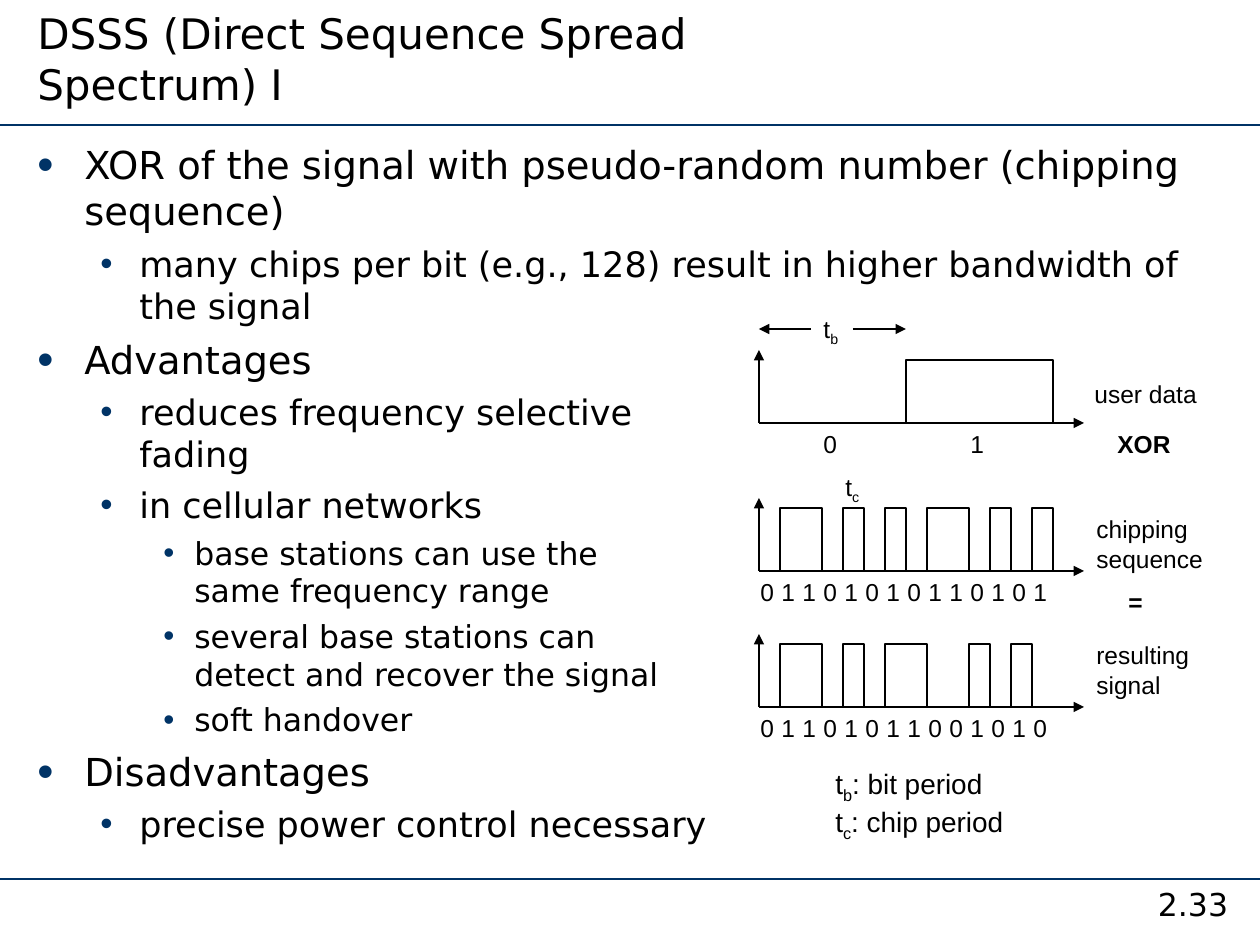
from itertools import groupby

from lxml import etree
from pptx import Presentation
from pptx import util as u
from pptx.dml.color import RGBColor
from pptx.enum import shapes, text
from pptx.oxml import ns

BLACK = RGBColor(0x00, 0x00, 0x00)
NAVY = RGBColor(0x00, 0x33, 0x66)
SANS = "DejaVu Sans"
ARIAL = "Arial"
AXIS_X = 759
BIT = 147
CHIP = 21
PULSE_HEIGHT = 63

LEVELS = [
    {"size": 22, "margin": 47, "hang": 47, "before": 5.5, "bullet": 120},
    {"size": 20, "margin": 102, "hang": 39, "before": 5, "bullet": 100},
    {"size": 18, "margin": 157, "hang": 31, "before": 4.5, "bullet": 100},
]

BULLETS = [
    (0, "XOR of the signal with pseudo-random number (chipping sequence)"),
    (1, "many chips per bit (e.g., 128) result in higher bandwidth of the signal"),
    (0, "Advantages"),
    (1, "reduces frequency selective \nfading"),
    (1, "in cellular networks"),
    (2, "base stations can use the \nsame frequency range"),
    (2, "several base stations can \ndetect and recover the signal"),
    (2, "soft handover"),
    (0, "Disadvantages"),
    (1, "precise power control necessary"),
]

PLOTS = [(423, "01", BIT), (571, "01101010110101", CHIP), (707, "01101011001010", CHIP)]

LABELS = [
    ((1082, 373, 133, 43), [["user data"]], 14, False),
    ((1084, 508, 137, 72), [["chipping"], ["sequence"]], 14, False),
    ((1084, 634, 123, 72), [["resulting"], ["signal"]], 14, False),
    ((1105, 423, 84, 43), [["XOR"]], 14, True),
    ((1116, 581, 42, 43), [["="]], 14, True),
    ((811, 308, 46, 47), [["t", "b"]], 14, False),
    ((833, 466, 46, 47), [["t", "c"]], 14, False),
    ((823, 760, 199, 89), [["t", "b", ": bit period"], ["t", "c", ": chip period"]], 16, False),
]


def px(value):
    """Turn pixels into EMU."""
    return u.Emu(round(value * 914400 / 126))


def add_run(paragraph, content, size, font, bold=False):
    """Append one black run to a paragraph."""
    run = paragraph.add_run()
    run.text = content
    run.font.size = u.Pt(size)
    run.font.name = font
    run.font.bold = bold
    run.font.color.rgb = BLACK
    return run


def add_box(slide, box, wrap=True):
    """Add an empty text box and return its text frame."""
    frame = slide.shapes.add_textbox(*map(px, box)).text_frame
    frame.word_wrap = wrap
    return frame


def next_paragraph(frame, index):
    """Return the first paragraph, or append a further one."""
    return frame.add_paragraph() if index else frame.paragraphs[0]


def add_label(slide, box, lines, size=14, bold=False):
    """Add a label whose every second piece of a line is a subscript."""
    frame = add_box(slide, box, wrap=False)
    frame.auto_size = text.MSO_AUTO_SIZE.SHAPE_TO_FIT_TEXT
    for index, pieces in enumerate(lines):
        paragraph = next_paragraph(frame, index)
        for position, piece in enumerate(pieces):
            run = add_run(paragraph, piece, size, ARIAL, bold)
            if position % 2:
                run._r.get_or_add_rPr().set("baseline", "-25000")


def add_line(slide, start, end, color=BLACK, width=0.75, arrow=False):
    """Add a straight line, with an arrowhead at its end if wanted."""
    line = slide.shapes.add_connector(
        shapes.MSO_CONNECTOR.STRAIGHT, *map(px, (*start, *end)))
    line.line.color.rgb = color
    line.line.width = u.Pt(width)
    if arrow:
        etree.SubElement(line.line._get_or_add_ln(), ns.qn("a:tailEnd"), type="triangle")
    etree.SubElement(line._element.spPr, ns.qn("a:effectLst"))


def add_wave(slide, baseline, bits, step):
    """Draw the pulses of a bit string as one open outline."""
    points = []
    x = AXIS_X
    for bit, group in groupby(bits):
        end = x + step * len(list(group))
        if bit == "1":
            top = baseline - PULSE_HEIGHT
            points += [(x, baseline), (x, top), (end, top), (end, baseline)]
        x = end
    builder = slide.shapes.build_freeform(*map(px, points[0]), scale=1.0)
    builder.add_line_segments(
        [(px(left), px(top)) for left, top in points[1:]], close=False)
    wave = builder.convert_to_shape()
    wave.shadow.inherit = False
    wave.fill.background()
    wave.line.color.rgb = BLACK
    wave.line.width = u.Pt(0.75)


def add_plot(slide, baseline, bits, step):
    """Draw axes, pulses and the bit under each step."""
    origin = (AXIS_X, baseline)
    add_line(slide, origin, (AXIS_X, baseline - 73), arrow=True)
    add_line(slide, origin, (AXIS_X + 325, baseline), arrow=True)
    add_wave(slide, baseline, bits, step)
    for index, bit in enumerate(bits):
        left = AXIS_X + step * (index + 0.5) - 21.5
        add_label(slide, (left, baseline, 42, 43), [[bit]])


def add_bullets(slide, box, bullets):
    """Add the three-level bulleted list."""
    frame = add_box(slide, box)
    for index, (level, content) in enumerate(bullets):
        style = LEVELS[level]
        paragraph = next_paragraph(frame, index)
        paragraph.level = level
        if index:
            paragraph.space_before = u.Pt(style["before"])
        properties = paragraph._p.get_or_add_pPr()
        properties.set("marL", str(px(style["margin"])))
        properties.set("indent", str(-px(style["hang"])))
        color = etree.SubElement(properties, ns.qn("a:buClr"))
        etree.SubElement(color, ns.qn("a:srgbClr"), val=str(NAVY))
        etree.SubElement(properties, ns.qn("a:buSzPct"), val=str(style["bullet"] * 1000))
        etree.SubElement(properties, ns.qn("a:buFont"), typeface=ARIAL)
        etree.SubElement(properties, ns.qn("a:buChar"), char="•")
        for row, line in enumerate(content.split("\n")):
            if row:
                paragraph.add_line_break()
            add_run(paragraph, line, style["size"], SANS)


def main():
    """Build the slide and save it."""
    presentation = Presentation()
    presentation.slide_width, presentation.slide_height = px(1260), px(945)
    slide = presentation.slides.add_slide(presentation.slide_layouts[6])

    for y in (125, 879):
        add_line(slide, (0, y), (1260, y), NAVY, 1)
    number = add_box(slide, (1126, 879, 134, 55)).paragraphs[0]
    number.alignment = text.PP_ALIGN.CENTER
    add_run(number, "2.33", 18, SANS)

    title = add_box(slide, (25, 0, 833, 115))
    title.vertical_anchor = text.MSO_ANCHOR.BOTTOM
    add_run(title.paragraphs[0], "DSSS (Direct Sequence Spread Spectrum) I", 24, SANS)
    add_bullets(slide, (25, 135, 1211, 737), BULLETS)

    for plot in PLOTS:
        add_plot(slide, *plot)
    for start, end in ((853, AXIS_X + BIT), (811, AXIS_X)):
        add_line(slide, (start, 329), (end, 329), arrow=True)
    for label in LABELS:
        add_label(slide, *label)
    presentation.save("out.pptx")


if __name__ == "__main__":
    main()
